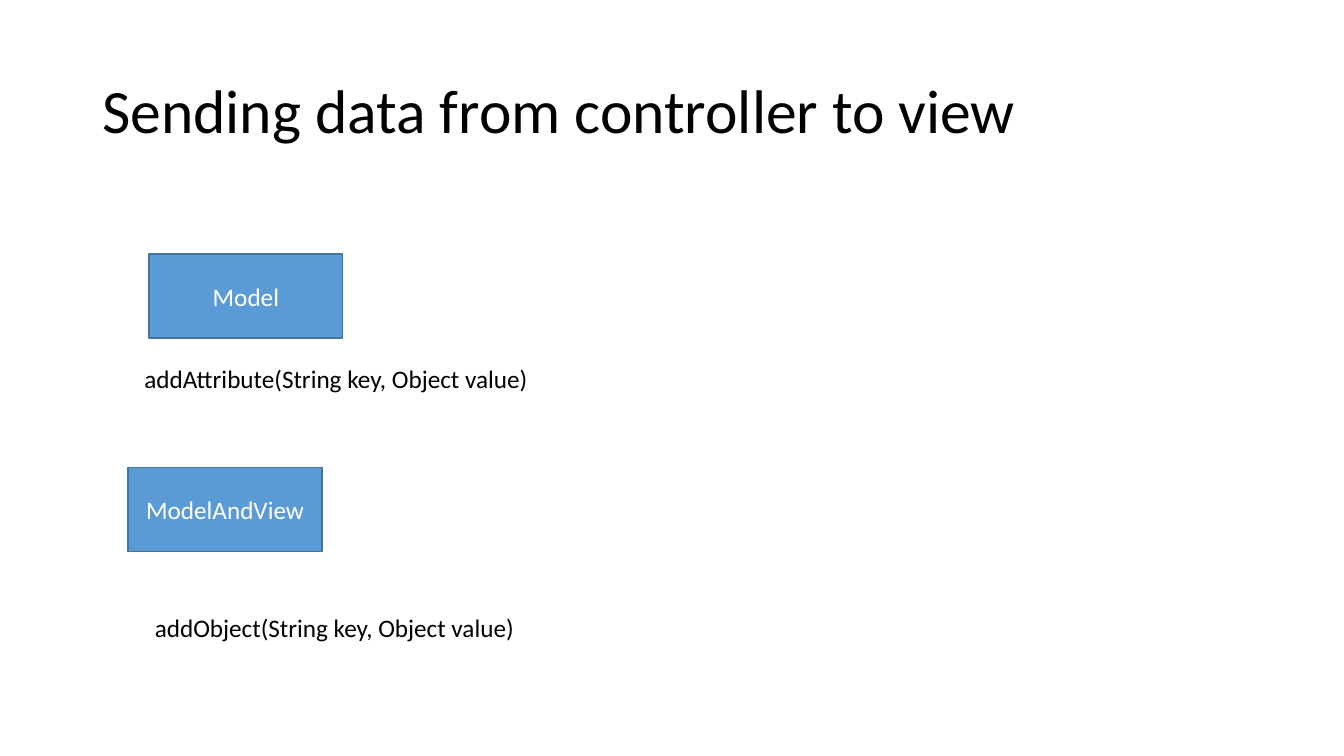
from pptx import Presentation
from pptx.dml.color import RGBColor
from pptx.enum.shapes import MSO_SHAPE
from pptx.enum.text import MSO_ANCHOR, PP_ALIGN
from pptx.util import Pt

COLORS = {"text": "000000", "box": "5B9BD5", "border": "43739E", "box_text": "FFFFFF"}
FONT = "Calibri"


def color(name):
    return RGBColor.from_string(COLORS[name])


def write(frame, text, size, color_name, anchor):
    """Put one styled paragraph in the frame and return it."""
    frame.word_wrap = True
    frame.vertical_anchor = anchor
    paragraph = frame.paragraphs[0]
    paragraph.text = text
    paragraph.font.name = FONT
    paragraph.font.size = Pt(size)
    paragraph.font.color.rgb = color(color_name)
    return paragraph


def add_label(slide, text, left, top, width, height, size=18, anchor=MSO_ANCHOR.TOP):
    label = slide.shapes.add_textbox(Pt(left), Pt(top), Pt(width), Pt(height))
    return write(label.text_frame, text, size, "text", anchor)


def add_class_box(slide, class_name, left, top):
    box = slide.shapes.add_shape(
        MSO_SHAPE.RECTANGLE, Pt(left), Pt(top), Pt(138.5), Pt(60)
    )
    box.shadow.inherit = False
    box.fill.solid()
    box.fill.fore_color.rgb = color("box")
    box.line.color.rgb = color("border")
    box.line.width = Pt(1)
    caption = write(box.text_frame, class_name, 18, "box_text", MSO_ANCHOR.MIDDLE)
    caption.alignment = PP_ALIGN.CENTER


def main():
    presentation = Presentation()
    presentation.slide_width = Pt(960)
    presentation.slide_height = Pt(540)
    slide = presentation.slides.add_slide(presentation.slide_layouts[6])

    title = add_label(slide, "Sending data from controller to view",
                      66, 28.75, 828, 104.4, 44, MSO_ANCHOR.MIDDLE)
    title.line_spacing = 0.9

    add_class_box(slide, "Model", 106.4, 181.5)
    add_class_box(slide, "ModelAndView", 91.6, 334)
    add_label(slide, "addAttribute(String key, Object value)", 96, 255.6, 297.4, 29)
    add_label(slide, "addObject(String key, Object value)", 103.5, 433.7, 297.4, 29)

    presentation.save("out.pptx")


if __name__ == "__main__":
    main()
